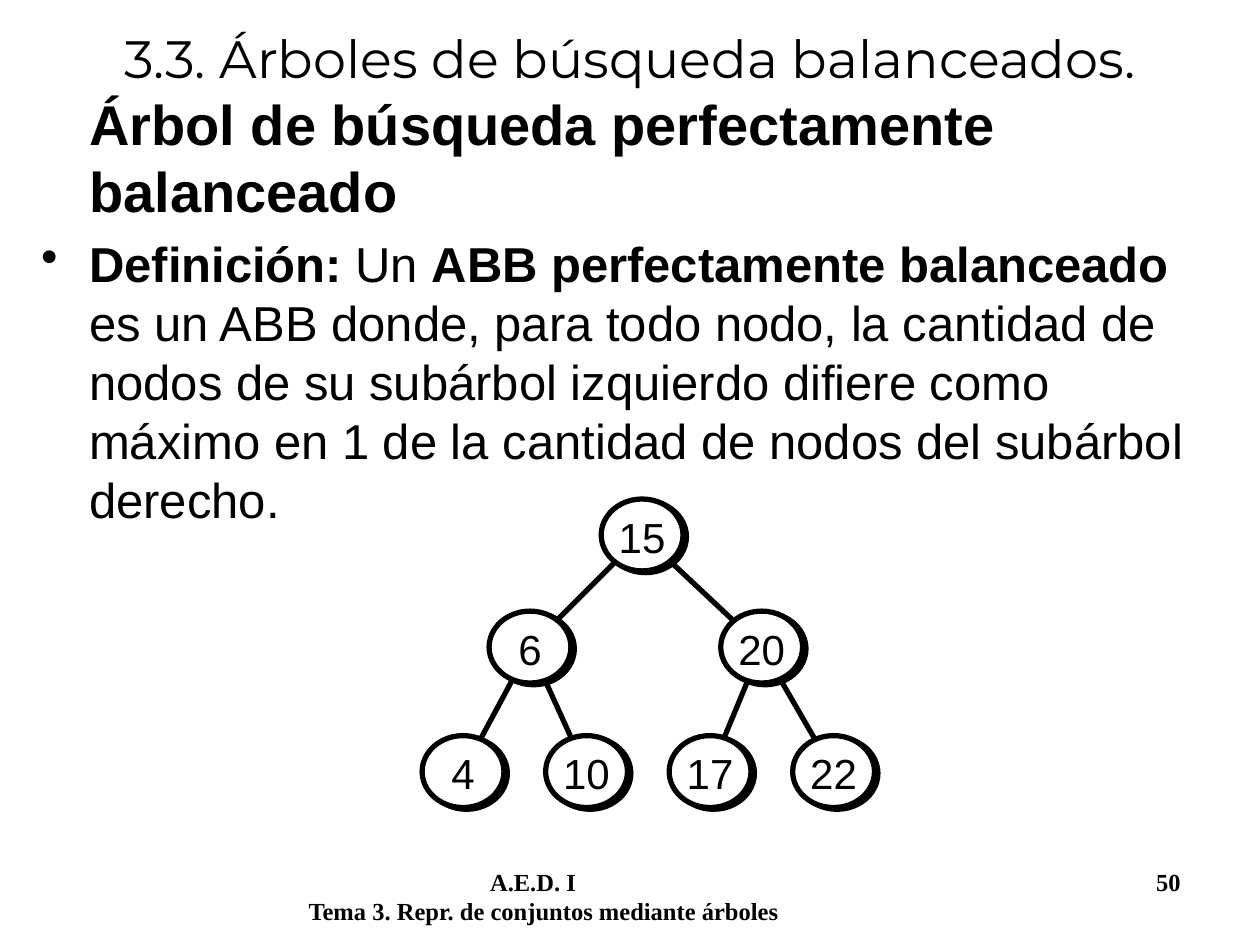
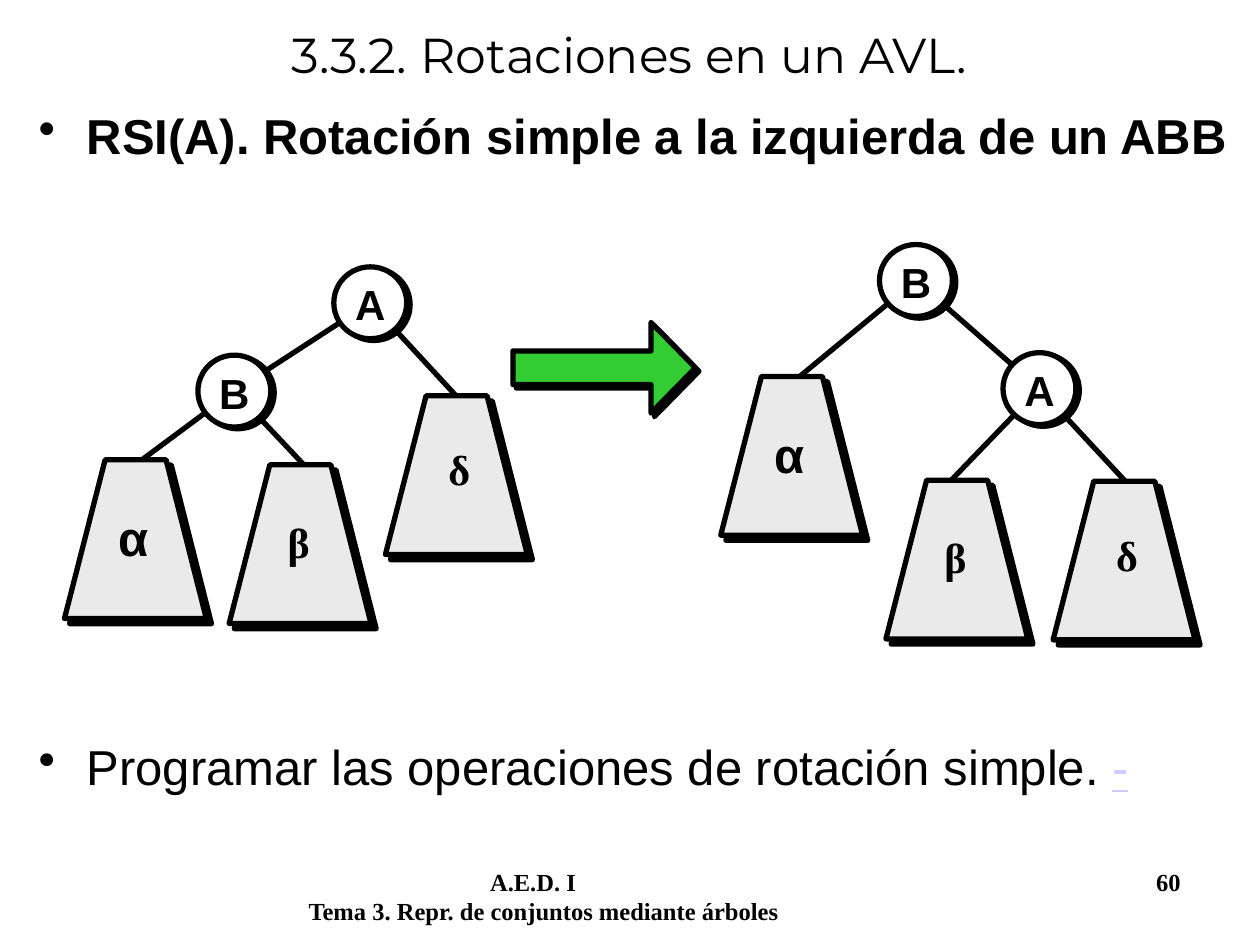
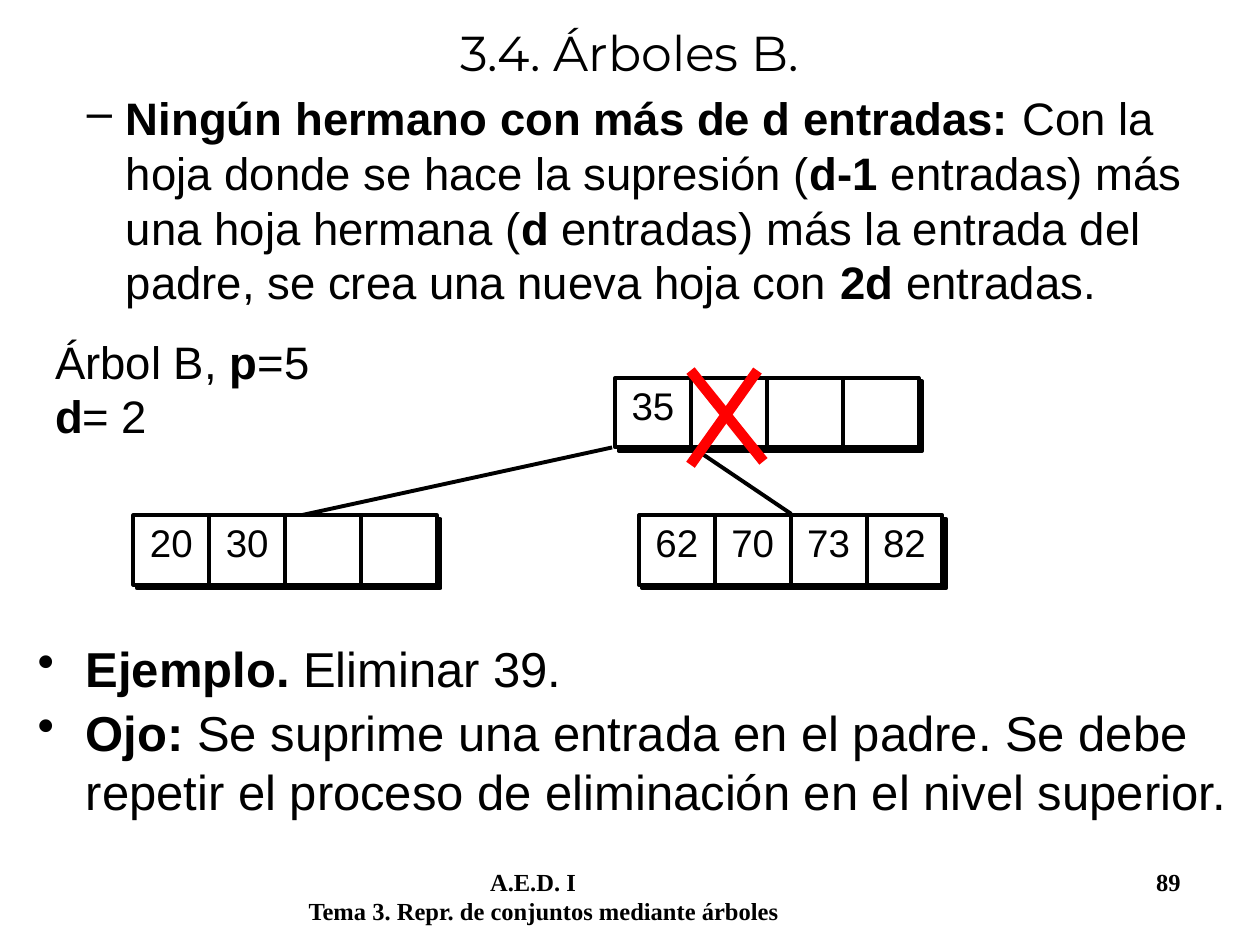
"""Build three slides about balanced search trees and B-trees."""
import lxml.etree
import pptx
import pptx.dml.color
import pptx.enum.shapes
import pptx.enum.text
import pptx.oxml.ns
import pptx.util

Cm = pptx.util.Cm
Pt = pptx.util.Pt
qn = pptx.oxml.ns.qn
SHAPE = pptx.enum.shapes.MSO_SHAPE

COLORS = {
    "black": "000000",
    "white": "FFFFFF",
    "gray": "EAEAEA",
    "green": "33CC33",
    "red": "FF0000",
    "link": "CCCCFF",
}
TITLE = {"name": "Montserrat", "bold": False}
FOOTER = {"name": "Times New Roman", "size": Pt(14), "bold": True}
HEADING = {"name": "Arial", "size": Pt(32), "bold": True}
BODY = {"name": "Arial", "size": Pt(28)}
SUBBODY = {"name": "Arial", "size": Pt(26)}
NODE = {"name": "Arial", "size": Pt(24)}
KEY = {"name": "Arial", "size": Pt(22)}
GREEK = {"name": "Times New Roman", "size": Pt(24), "bold": True}

NODE_SHADOW = (2.2, 27)
BLOCK_SHADOW = (2.8, 45)
SUBTREE_SHADOW = (4.2, 45)

SUBTREE_W, SUBTREE_H = 2.86, 3.2
SUBTREE_LABELS = {
    "α": ((0.84, 0.84, 1.63, 1.45), {**BODY, "bold": True}),
    "β": ((0.93, 0.91, 1.47, 1.27), GREEK),
    "δ": ((1.02, 0.84, 1.47, 1.27), GREEK),
}
CELL_W, CELL_H = 1.53, 1.4


def rgb(name):
    """Return a named colour."""
    return pptx.dml.color.RGBColor.from_string(COLORS[name])


def write(p, text, fmt, color="black"):
    """Add runs to a paragraph, bold between asterisks."""
    for i, part in enumerate(text.split("*")):
        if part:
            r = p.add_run()
            r.text = part
            for key, value in {"bold": i % 2 == 1, **fmt}.items():
                setattr(r.font, key, value)
            r.font.color.rgb = rgb(color)


def add_text(s, box, lines, fmt):
    """Add a text box with one paragraph per line and return its paragraphs."""
    tf = s.shapes.add_textbox(*map(Cm, box)).text_frame
    tf.word_wrap = True
    for i, line in enumerate(lines):
        p = tf.paragraphs[0] if i == 0 else tf.add_paragraph()
        write(p, line, fmt)
    return tf.paragraphs


def indent(p, left=0.97, hanging=0.97, bullet="•"):
    """Set the hanging indent and bullet of a paragraph."""
    pPr = p._p.get_or_add_pPr()
    pPr.set("marL", str(Cm(left)))
    pPr.set("indent", str(-Cm(hanging)))
    if bullet:
        lxml.etree.SubElement(pPr, qn("a:buChar"), char=bullet)


def add_bullets(s, box, lines, fmt=BODY, space=3, **levels):
    """Add a bulleted text box and return its paragraphs."""
    paragraphs = add_text(s, box, lines, fmt)
    for i, p in enumerate(paragraphs):
        indent(p, **levels)
        if i:
            p.space_before = Pt(space)
    return paragraphs


def add_line(s, x1, y1, x2, y2, width=3, color="black"):
    """Add a straight line without shadow."""
    c = s.shapes.add_connector(
        pptx.enum.shapes.MSO_CONNECTOR.STRAIGHT, *map(Cm, (x1, y1, x2, y2)))
    c.line.color.rgb = rgb(color)
    c.line.width = Pt(width)
    lxml.etree.SubElement(c._element.spPr, qn("a:effectLst"))


def paint(sp, fill, width, shadow):
    """Give a shape its fill, black outline and hard shadow."""
    sp.fill.solid()
    sp.fill.fore_color.rgb = rgb(fill)
    sp.line.color.rgb = rgb("black")
    sp.line.width = Pt(width)
    sp.shadow.inherit = False
    distance, angle = shadow
    outer = lxml.etree.SubElement(
        sp._element.spPr.find(qn("a:effectLst")), qn("a:outerShdw"),
        dist=str(Pt(distance)), dir=str(angle * 60000), algn="ctr", rotWithShape="0")
    lxml.etree.SubElement(outer, qn("a:srgbClr"), val=COLORS["black"])


def add_block(s, kind, box, text, fmt, width, shadow, margins):
    """Add a white preset shape with centred text."""
    sp = s.shapes.add_shape(kind, *map(Cm, box))
    paint(sp, "white", width, shadow)
    tf = sp.text_frame
    tf.word_wrap = True
    tf.vertical_anchor = pptx.enum.text.MSO_ANCHOR.TOP
    for side, value in zip(("left", "top", "right", "bottom"), margins):
        setattr(tf, f"margin_{side}", Cm(value))
    p = tf.paragraphs[0]
    p.alignment = pptx.enum.text.PP_ALIGN.CENTER
    write(p, text, fmt)


def add_tree(s, nodes, edges, width, fmt):
    """Add round nodes, and edges from a node to a node or a point."""
    height = 1.45
    centers = {k: (x + width / 2, y + height / 2) for k, (x, y) in nodes.items()}
    for start, end in edges:
        add_line(s, *centers[start], *centers.get(end, end))
    for label, (x, y) in nodes.items():
        add_block(s, SHAPE.OVAL, (x, y, width, height), label, fmt, 3,
                  NODE_SHADOW, (0.05, 0.03, 0.05, 0.03))


def add_subtree(s, label, x, y):
    """Add a trapezoid that stands for a subtree."""
    corners = [(0, SUBTREE_H), (0.82, 0), (2.05, 0), (SUBTREE_W, SUBTREE_H)]
    points = [(Cm(x + dx), Cm(y + dy)) for dx, dy in corners]
    builder = s.shapes.build_freeform(*points[0])
    builder.add_line_segments(points[1:], close=True)
    paint(builder.convert_to_shape(), "gray", 3, SUBTREE_SHADOW)
    (dx, dy, w, h), fmt = SUBTREE_LABELS[label]
    add_text(s, (x + dx, y + dy, w, h), [label], fmt)


def add_page(s, x, y, keys):
    """Add a B-tree page as a row of cells."""
    for i, key in enumerate(keys):
        add_block(s, SHAPE.RECTANGLE, (x + i * CELL_W, y, CELL_W, CELL_H), key,
                  KEY, 2.25, BLOCK_SHADOW, (0, 0.08, 0, 0.05))


def add_footer(s, number):
    """Add the course footer with the slide number."""
    lines = [f"\tA.E.D. I\t{number}", "Tema 3. Repr. de conjuntos mediante árboles"]
    p = add_text(s, (5.97, 17.35, 18.8, 1.27), lines, FOOTER)[0]
    tabs = lxml.etree.SubElement(p._p.get_or_add_pPr(), qn("a:tabLst"))
    for position, align in ((3.66, "l"), (17.58, "r")):
        lxml.etree.SubElement(tabs, qn("a:tab"), pos=str(Cm(position)), algn=align)


def add_slide(prs, title, box, size, number):
    """Add a slide with its title and footer."""
    s = prs.slides.add_slide(prs.slide_layouts[5])
    add_footer(s, number)
    sp = s.shapes.title
    sp.left, sp.top, sp.width, sp.height = map(Cm, box)
    tf = sp.text_frame
    tf.auto_size = pptx.enum.text.MSO_AUTO_SIZE.NONE
    tf.vertical_anchor = pptx.enum.text.MSO_ANCHOR.MIDDLE
    p = tf.paragraphs[0]
    p.alignment = pptx.enum.text.PP_ALIGN.CENTER
    write(p, title, {**TITLE, "size": Pt(size)})
    return s


def add_balanced_slide(prs):
    """Add the definition of a perfectly balanced tree."""
    s = add_slide(prs, "3.3. Árboles de búsqueda balanceados.", (0, 0, 25.4, 2.31), 30, 50)
    heading, definition = add_text(s, (0.58, 1.68, 24.05, 9.8), [
        "Árbol de búsqueda perfectamente balanceado", ""], HEADING)
    indent(heading, hanging=0, bullet=None)
    indent(definition)
    definition.space_before = Pt(5.6)
    write(definition, "*Definición:* Un *ABB perfectamente balanceado* es un ABB donde, "
          "para todo nodo, la cantidad de nodos de su subárbol izquierdo difiere como "
          "máximo en 1 de la cantidad de nodos del subárbol derecho.", BODY)
    nodes = {"15": (12.12, 10.06), "6": (9.86, 12.32), "20": (14.53, 12.32)}
    for i, leaf in enumerate(("4", "10", "17", "22")):
        nodes[leaf] = (8.51 + i * 2.49, 14.83)
    edges = [("15", "6"), ("15", "20"), ("6", "4"), ("6", "10"), ("20", "17"), ("20", "22")]
    add_tree(s, nodes, edges, 1.65, NODE)


def add_rotation_slide(prs):
    """Add the simple rotation of an AVL tree."""
    s = add_slide(prs, "3.3.2. Rotaciones en un AVL.", (0.84, 0, 23.7, 2.18), 28, 60)
    add_bullets(s, (0.53, 2.01, 24.87, 2.54),
                ["*RSI(A). Rotación simple a la izquierda de un ABB*"])
    bold = {**NODE, "bold": True}
    add_tree(s, {"A": (6.73, 5.38), "B": (3.99, 7.16)},
             [("A", "B"), ("A", (9.5, 8.31)), ("B", (6.22, 9.47)), ("B", (2.59, 9.47))],
             1.47, bold)
    add_tree(s, {"B": (17.73, 4.93), "A": (20.22, 7.11)},
             [("B", "A"), ("B", (15.72, 7.92)), ("A", (19.08, 9.78)), ("A", (22.99, 10.03))],
             1.47, bold)
    for label, x, y in (("α", 1.3, 9.27), ("β", 4.62, 9.37), ("δ", 7.77, 7.98),
                        ("α", 14.53, 7.59), ("β", 17.86, 9.68), ("δ", 21.23, 9.7)):
        add_subtree(s, label, x, y)
    arrow = s.shapes.add_shape(SHAPE.RIGHT_ARROW, *map(Cm, (10.34, 6.5, 3.68, 1.83)))
    arrow.adjustments[0], arrow.adjustments[1] = 0.37, 0.49
    paint(arrow, "green", 3, BLOCK_SHADOW)
    p = add_bullets(s, (0.53, 14.73, 24.31, 2.11),
                    ["Programar las operaciones de rotación simple. "])[0]
    write(p, "-", {**BODY, "underline": True}, "link")


def add_b_tree_slide(prs):
    """Add the removal of an entry from a B-tree."""
    s = add_slide(prs, "3.4. Árboles B.", (0.84, 0, 23.7, 2.08), 28, 89)
    add_bullets(s, (0, 1.7, 24.66, 5.59), [
        "*Ningún hermano con más de d entradas:* Con la hoja donde se hace la supresión "
        "(*d-1* entradas) más una hoja hermana (*d* entradas) más la entrada del padre, "
        "se crea una nueva hoja con *2d* entradas."],
        SUBBODY, left=2.29, hanging=0.79, bullet="–")
    add_line(s, 12.34, 9.02, 5.23, 10.57, 2.25)
    add_line(s, 13.89, 8.97, 15.95, 10.36, 2.25)
    add_page(s, 12.4, 7.62, ("35", "", "", ""))
    add_page(s, 2.69, 10.39, ("20", "30", "", ""))
    add_page(s, 12.88, 10.39, ("62", "70", "73", "82"))
    add_text(s, (0.86, 6.6, 6.45, 2.46), ["Árbol B, *p*=5", "*d*= 2"], SUBBODY)
    add_bullets(s, (0.51, 12.75, 24.89, 4.11), [
        "*Ejemplo.* Eliminar 39.",
        "*Ojo:* Se suprime una entrada en el padre. Se debe repetir el proceso de "
        "eliminación en el nivel superior."])
    add_line(s, 13.92, 7.47, 15.39, 9.3, 6, "red")
    add_line(s, 15.27, 7.47, 13.92, 9.37, 6, "red")


def main():
    """Build and save the presentation."""
    prs = pptx.Presentation()
    prs.slide_width, prs.slide_height = Cm(25.4), Cm(19.05)
    add_balanced_slide(prs)
    add_rotation_slide(prs)
    add_b_tree_slide(prs)
    prs.save("out.pptx")


if __name__ == "__main__":
    main()
